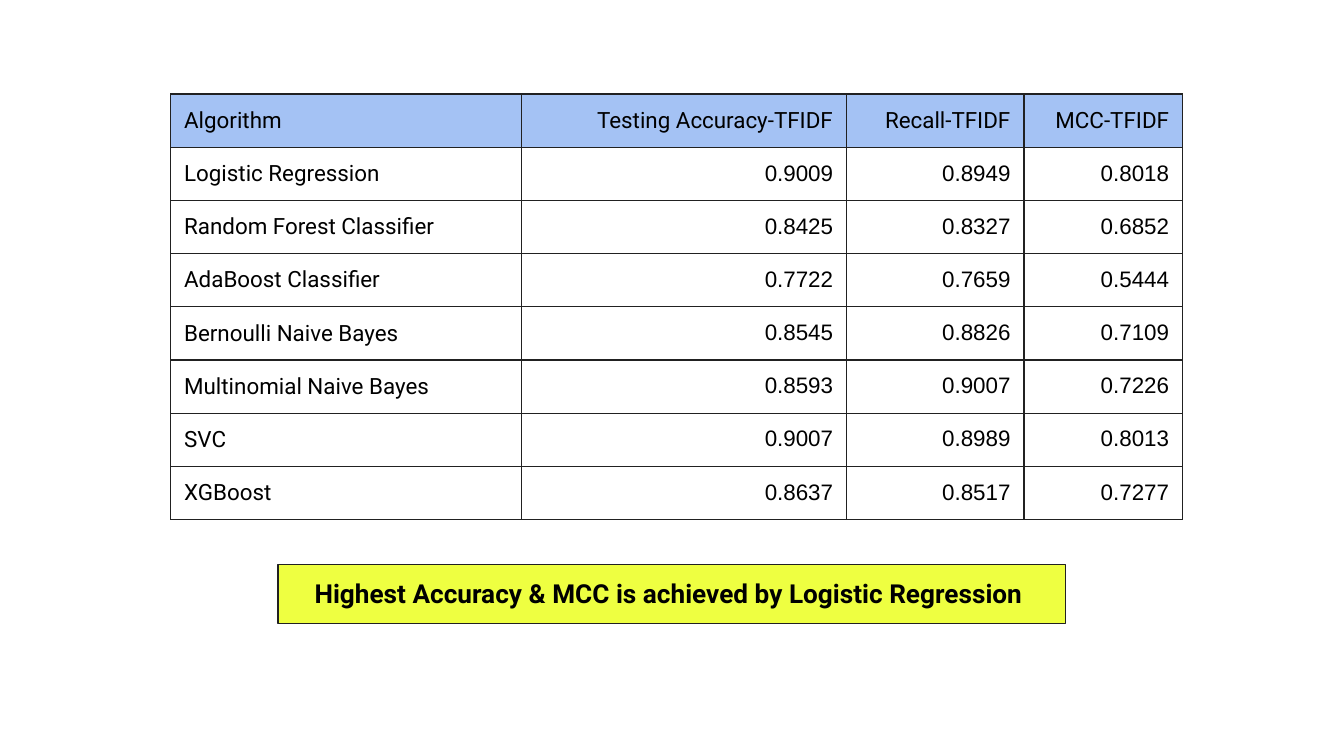
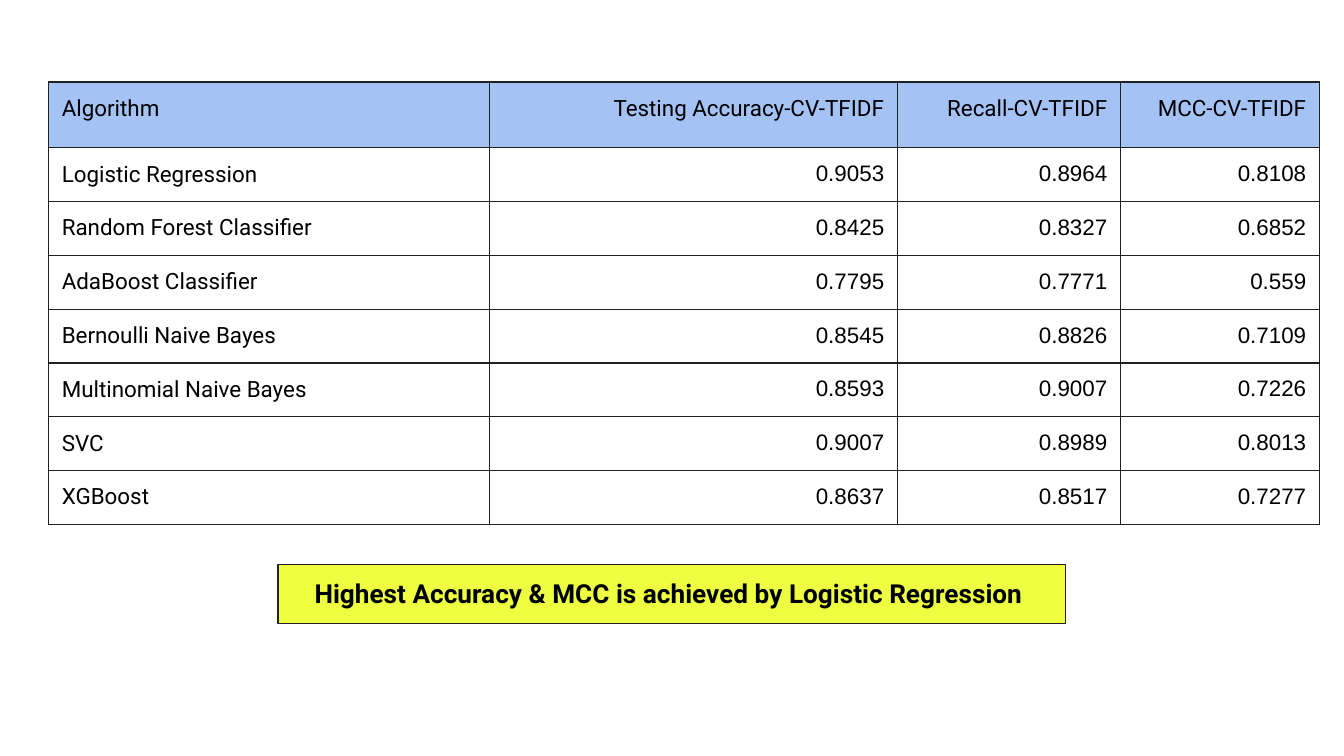
from dataclasses import dataclass

from lxml import etree
from pptx import Presentation
from pptx.dml.color import RGBColor
from pptx.enum.shapes import MSO_SHAPE
from pptx.enum.text import MSO_ANCHOR, MSO_AUTO_SIZE, PP_ALIGN
from pptx.oxml.ns import qn
from pptx.util import Inches, Pt

RECTANGLE = MSO_SHAPE.RECTANGLE
TOP, MIDDLE = MSO_ANCHOR.TOP, MSO_ANCHOR.MIDDLE
FIT_SHAPE = MSO_AUTO_SIZE.SHAPE_TO_FIT_TEXT
LEFT, CENTER, RIGHT = PP_ALIGN.LEFT, PP_ALIGN.CENTER, PP_ALIGN.RIGHT

SLIDE_WIDTH = Inches(10)
SLIDE_HEIGHT = SLIDE_WIDTH * 9 // 16
COLORS = {"header": "A4C2F4", "highlight": "EEFF41", "line": "212121", "text": "000000"}
LABEL_FONT, SCORE_FONT = "Roboto", "Arial"
LINE_WIDTH = Pt(0.75)
MARGINS = {f"margin_{side}": Inches(0.1) for side in ("left", "top", "right", "bottom")}
PLAIN_TABLE = {"first_row": False, "horz_banding": False}
# Nominal frame size; rows and columns set the drawn extent
TABLE_FRAME = {"width": Inches(3.28), "height": Inches(3.28)}
CONCLUSION = "Highest Accuracy & MCC is achieved by Logistic Regression "

# Accuracy, recall and MCC of each algorithm
TFIDF_SCORES = {
    "Logistic Regression": (0.9009, 0.8949, 0.8018),
    "Random Forest Classifier": (0.8425, 0.8327, 0.6852),
    "AdaBoost Classifier": (0.7722, 0.7659, 0.5444),
    "Bernoulli Naive Bayes": (0.8545, 0.8826, 0.7109),
    "Multinomial Naive Bayes": (0.8593, 0.9007, 0.7226),
    "SVC": (0.9007, 0.8989, 0.8013),
    "XGBoost": (0.8637, 0.8517, 0.7277),
}
# Cross-validation changes two algorithms only
CV_SCORES = TFIDF_SCORES | {
    "Logistic Regression": (0.9053, 0.8964, 0.8108),
    "AdaBoost Classifier": (0.7795, 0.7771, 0.559),
}


@dataclass(frozen=True)
class Results:
    """Scores of one feature set and the place of their table, in inches."""
    features: str
    scores: dict[str, tuple[float, ...]]
    left: float
    top: float
    column_widths: tuple[float, ...]
    header_height: float
    row_height: float

    def rows(self) -> list[tuple[str, ...]]:
        metrics = ("Testing Accuracy", "Recall", "MCC")
        header = ("Algorithm", *(f"{metric}-{self.features}" for metric in metrics))
        return [header, *((name, *map(str, values)) for name, values in self.scores.items())]


RESULTS = (
    Results("TFIDF", TFIDF_SCORES, 1.27, 0.7, (2.61, 2.42, 1.32, 1.18), 0.38, 0.38),
    Results("CV-TFIDF", CV_SCORES, 0.36, 0.61, (3.28, 3.04, 1.66, 1.48), 0.49, 0.35),
)


def color(name: str) -> RGBColor:
    return RGBColor.from_string(COLORS[name])


def apply(target, formats: dict) -> None:
    for attribute, value in formats.items():
        setattr(target, attribute, value)


def write(frame, text: str, align, **font_formats) -> None:
    paragraph = frame.paragraphs[0]
    paragraph.alignment = align
    run = paragraph.add_run()
    run.text = text
    apply(run.font, font_formats)
    run.font.color.rgb = color("text")


def add_borders(cell) -> None:
    properties = cell._tc.get_or_add_tcPr()
    for side in ("lnL", "lnR", "lnT", "lnB"):
        line = etree.SubElement(properties, qn(f"a:{side}"), w=str(LINE_WIDTH))
        fill = etree.SubElement(line, qn("a:solidFill"))
        etree.SubElement(fill, qn("a:srgbClr"), val=COLORS["line"])


def add_results_table(slide, results: Results) -> None:
    rows = results.rows()
    widths = results.column_widths
    heights = [results.header_height] + [results.row_height] * (len(rows) - 1)
    table_frame = slide.shapes.add_table(
        len(rows), len(widths), Inches(results.left), Inches(results.top),
        **TABLE_FRAME)
    table = table_frame.table
    apply(table, PLAIN_TABLE)
    for column, width in zip(table.columns, widths):
        column.width = Inches(width)
    for row, height in zip(table.rows, heights):
        row.height = Inches(height)
    apply(table_frame, TABLE_FRAME)

    for r, row in enumerate(rows):
        for c, text in enumerate(row):
            cell = table.cell(r, c)
            apply(cell, MARGINS | {"vertical_anchor": TOP})
            add_borders(cell)
            is_header, is_label = r == 0, c == 0
            if is_header:
                cell.fill.solid()
                cell.fill.fore_color.rgb = color("header")
            else:
                cell.fill.background()
            write(cell.text_frame, text, LEFT if is_label else RIGHT, size=Pt(12),
                  name=LABEL_FONT if is_header or is_label else SCORE_FONT)


def add_conclusion(slide) -> None:
    banner = slide.shapes.add_shape(
        RECTANGLE, Inches(2.07), Inches(4.2), Inches(5.86), Inches(0.44))
    banner.shadow.inherit = False
    banner.fill.solid()
    banner.fill.fore_color.rgb = color("highlight")
    banner.line.color.rgb = color("line")
    banner.line.width = LINE_WIDTH
    frame = banner.text_frame
    apply(frame, MARGINS | {
        "word_wrap": True, "auto_size": FIT_SHAPE, "vertical_anchor": TOP})
    write(frame, CONCLUSION, CENTER, size=Pt(14), name=LABEL_FONT, bold=True)


def main() -> None:
    deck = Presentation()
    deck.slide_width, deck.slide_height = SLIDE_WIDTH, SLIDE_HEIGHT
    blank = deck.slide_layouts[6]
    for results in RESULTS:
        slide = deck.slides.add_slide(blank)
        add_results_table(slide, results)
        add_conclusion(slide)
    deck.save("out.pptx")


if __name__ == "__main__":
    main()
